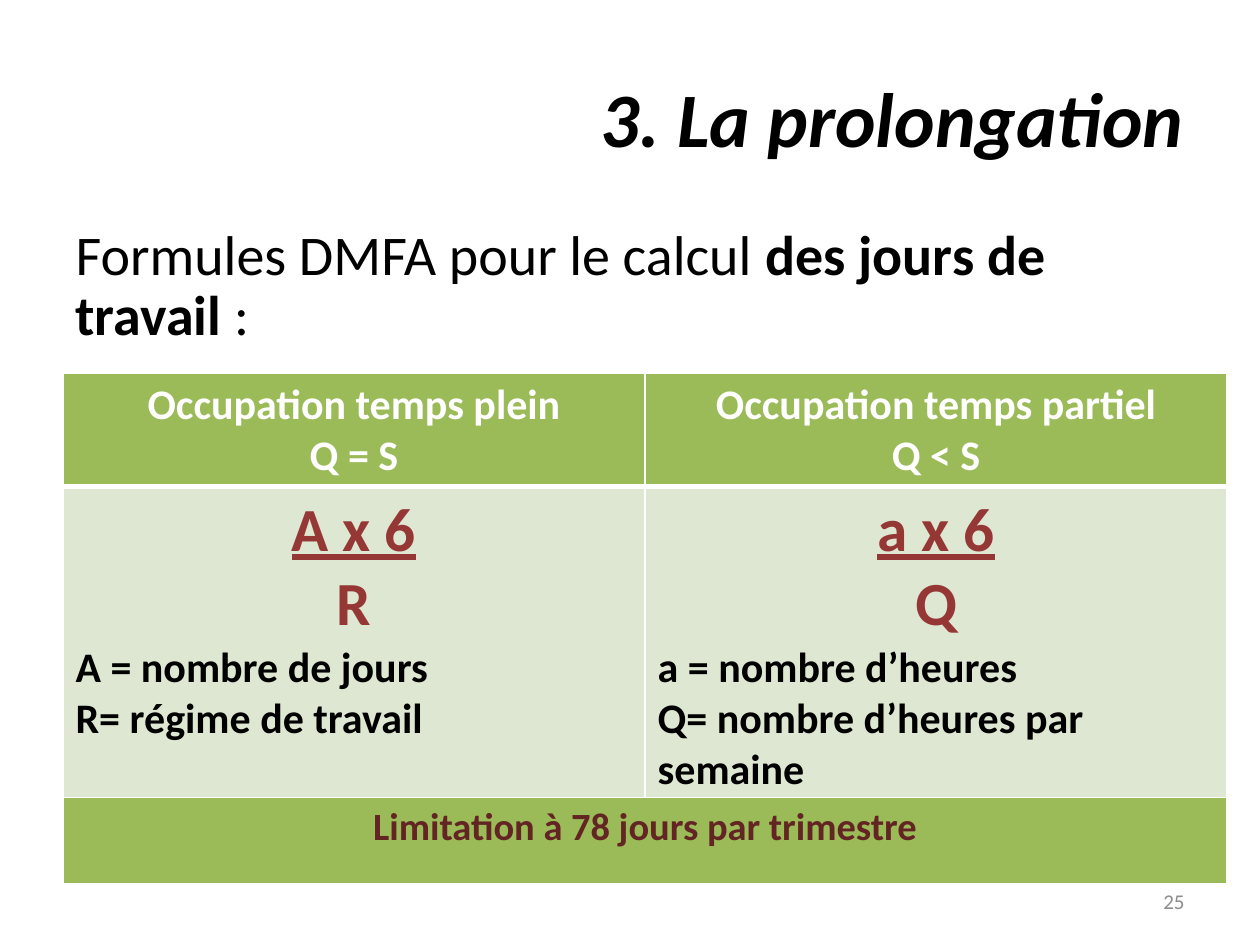
from lxml.etree import SubElement
from pptx import Presentation
from pptx.dml.color import RGBColor
from pptx.enum.text import MSO_ANCHOR, PP_ALIGN
from pptx.oxml.ns import qn
from pptx.util import Pt

FONT = "Calibri"
BLACK = RGBColor(0x00, 0x00, 0x00)
WHITE = RGBColor(0xFF, 0xFF, 0xFF)
GREY = RGBColor(0x8C, 0x8C, 0x8C)
GREEN = RGBColor(0x9B, 0xBB, 0x59)
PALE_GREEN = RGBColor(0xDE, 0xE7, 0xD1)
RED = RGBColor(0x95, 0x37, 0x35)
DARK_RED = RGBColor(0x63, 0x25, 0x23)

# Content
TITLE = "3. La prolongation"
INTRO = [("Formules DMFA pour le calcul ", False), ("des jours de travail ", True), (":", False)]
PAGE_NUMBER = "25"
OCCUPATIONS = [
    {"heading": ["Occupation temps plein", "Q = S"],
     "fraction": ("A x 6", "R"),
     "legend": ["A = nombre de jours", "R= régime de travail"]},
    {"heading": ["Occupation temps partiel", "Q < S"],
     "fraction": ("a x 6", "Q"),
     "legend": ["a = nombre d’heures", "Q= nombre d’heures par semaine"]},
]
LIMIT = "Limitation à 78 jours par trimestre"

# Layout, in points
TITLE_BOX = (36, 21.6, 648, 90)
INTRO_BOX = (36, 126, 648, 356.4)
NUMBER_BOX = (516.24, 500.4, 167.76, 28.8)
TABLE_LEFT, TABLE_TOP, COLUMN_WIDTH = 36, 213.12, 332.64
ROW_HEIGHTS = (62.64, 171.36, 49.68)


def place(shape, box):
    shape.left, shape.top, shape.width, shape.height = map(Pt, box)


def style(paragraph, size, color, align=PP_ALIGN.LEFT, **flags):
    paragraph.alignment = align
    font = paragraph.font
    font.name, font.size = FONT, Pt(size)
    font.color.rgb = color
    for flag, value in flags.items():
        setattr(font, flag, value)


def set_borders(cell, bottom=1, top=1):
    properties = cell._tc.get_or_add_tcPr()
    for side, width in (("L", 1), ("R", 1), ("T", top), ("B", bottom)):
        line = SubElement(properties, qn(f"a:ln{side}"), w=str(Pt(width)))
        SubElement(SubElement(line, qn("a:solidFill")), qn("a:srgbClr"), val=str(WHITE))


def fill_cell(cell, color, lines):
    """Each line is (text, size, color, alignment, underline)."""
    cell.fill.solid()
    cell.fill.fore_color.rgb = color
    frame = cell.text_frame
    frame.text = "\n".join(line[0] for line in lines)
    for paragraph, (_, size, ink, align, underline) in zip(frame.paragraphs, lines):
        style(paragraph, size, ink, align, bold=True, underline=underline)


presentation = Presentation()
presentation.slide_width, presentation.slide_height = Pt(720), Pt(540)
slide = presentation.slides.add_slide(presentation.slide_layouts[1])

# Title
title = slide.shapes.title
place(title, TITLE_BOX)
title.text_frame.text = TITLE
title.text_frame.vertical_anchor = MSO_ANCHOR.MIDDLE
style(title.text_frame.paragraphs[0], 44, BLACK, PP_ALIGN.RIGHT, bold=True, italic=True)

# Introduction
body = slide.placeholders[1]
place(body, INTRO_BOX)
intro = body.text_frame.paragraphs[0]
intro_properties = intro._p.get_or_add_pPr()
intro_properties.set("marL", "0")
intro_properties.set("indent", "0")
SubElement(intro_properties, qn("a:buNone"))
intro.line_spacing, intro.space_before = 0.9, Pt(0)
style(intro, 32, BLACK)
for text, bold in INTRO:
    run = intro.add_run()
    run.text, run.font.bold = text, bold

# Page number
number = slide.shapes.add_textbox(*map(Pt, NUMBER_BOX))
number.text_frame.word_wrap = True
number.text_frame.vertical_anchor = MSO_ANCHOR.MIDDLE
number.text_frame.text = PAGE_NUMBER
style(number.text_frame.paragraphs[0], 12, GREY, PP_ALIGN.RIGHT)

# Formula table
formulas = slide.shapes.add_table(
    len(ROW_HEIGHTS), len(OCCUPATIONS), Pt(TABLE_LEFT), Pt(TABLE_TOP),
    Pt(COLUMN_WIDTH * len(OCCUPATIONS)), Pt(sum(ROW_HEIGHTS))).table
for row, height in zip(formulas.rows, ROW_HEIGHTS):
    row.height = Pt(height)
for column in formulas.columns:
    column.width = Pt(COLUMN_WIDTH)

for index, occupation in enumerate(OCCUPATIONS):
    heading, formula, limit = (formulas.cell(row, index) for row in range(3))
    set_borders(heading, bottom=3)
    set_borders(formula, top=3)
    set_borders(limit)
    fill_cell(heading, GREEN, [(text, 24, WHITE, PP_ALIGN.CENTER, False)
                               for text in occupation["heading"]])
    numerator, denominator = occupation["fraction"]
    fill_cell(formula, PALE_GREEN, [
        (numerator, 35, RED, PP_ALIGN.CENTER, True),
        (denominator, 35, RED, PP_ALIGN.CENTER, False),
        *((text, 24, BLACK, PP_ALIGN.LEFT, False) for text in occupation["legend"])])

# Limit across both columns
limit = formulas.cell(2, 0)
limit.merge(formulas.cell(2, 1))
fill_cell(limit, GREEN, [(LIMIT, 22, DARK_RED, PP_ALIGN.CENTER, False)])

presentation.save("out.pptx")
